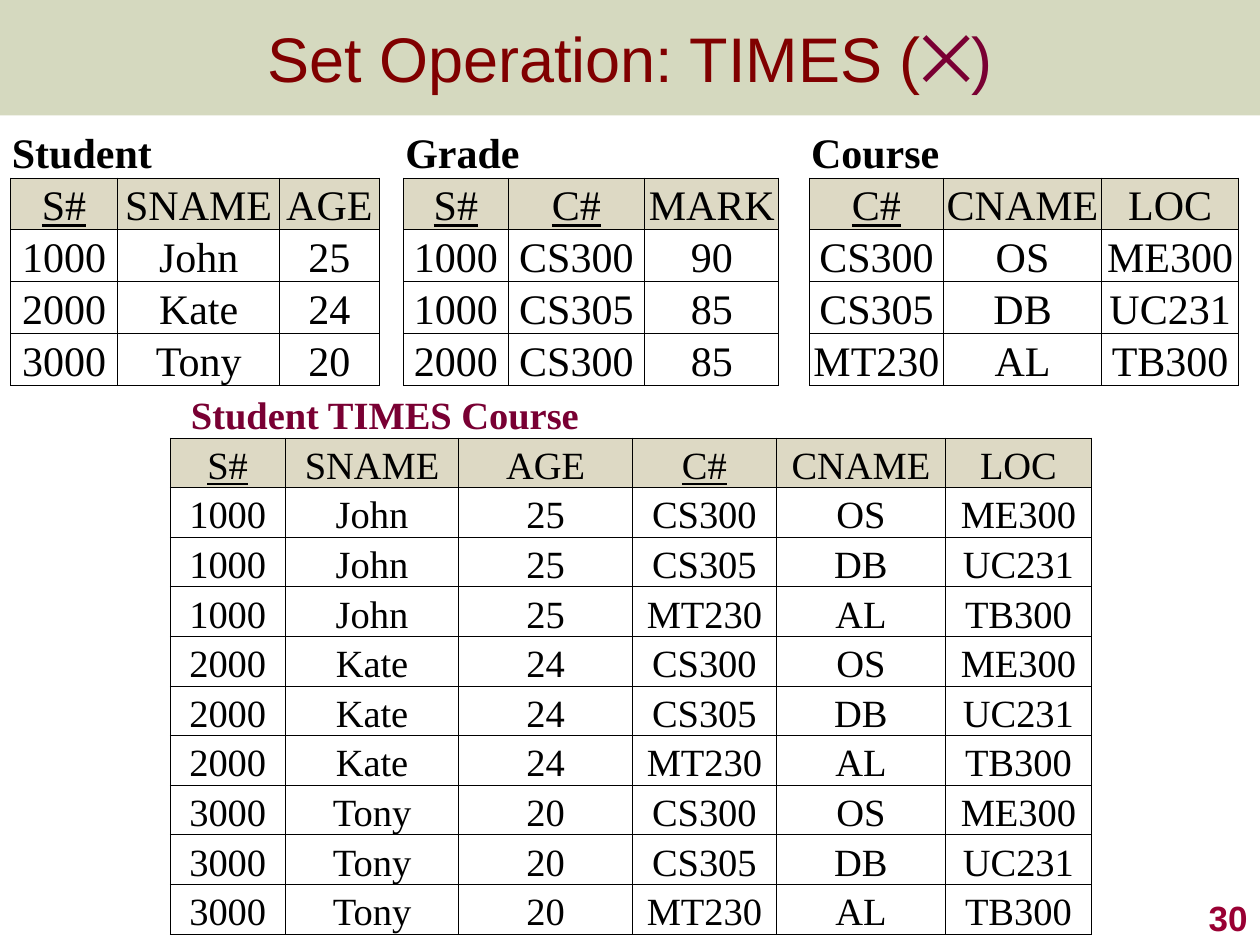
import dataclasses
import itertools

import lxml.etree
import pptx
import pptx.dml.color
import pptx.enum.shapes
import pptx.enum.text
import pptx.oxml.ns
import pptx.util

Cm = pptx.util.Cm
Pt = pptx.util.Pt
qn = pptx.oxml.ns.qn
ALIGN = pptx.enum.text.PP_ALIGN
ANCHOR = pptx.enum.text.MSO_ANCHOR
PLAIN_STYLE = "{2D5ABB26-0587-4C30-8999-92F81FD0307C}"


@dataclasses.dataclass(frozen=True)
class Theme:
    band: str = "76822E"
    title: str = "800000"
    accent: str = "790033"
    number: str = "990033"
    ink: str = "000000"
    paper: str = "FFFFFF"
    header: str = "DDD9C4"
    sans: str = "Arial"
    serif: str = "Times New Roman"
    title_size: int = 36
    source_size: int = 24
    result_size: int = 22
    number_size: int = 20
    border: float = 0.5


@dataclasses.dataclass(frozen=True)
class Relation:
    name: str
    columns: list
    rows: list
    widths: list


T = Theme()
STUDENT = Relation(
    "Student", ["S#", "SNAME", "AGE"],
    [["1000", "John", "25"], ["2000", "Kate", "24"], ["3000", "Tony", "20"]],
    [2.16, 3.27, 2])
GRADE = Relation(
    "Grade", ["S#", "C#", "MARK"],
    [["1000", "CS300", "90"], ["1000", "CS305", "85"], ["2000", "CS300", "85"]],
    [2.1, 2.76, 2.7])
COURSE = Relation(
    "Course", ["C#", "CNAME", "LOC"],
    [["CS300", "OS", "ME300"], ["CS305", "DB", "UC231"], ["MT230", "AL", "TB300"]],
    [2.7, 3.19, 2.76])


def times(left, right, widths):
    rows = [a + b for a, b in itertools.product(left.rows, right.rows)]
    return Relation(f"{left.name} TIMES {right.name}",
                    left.columns + right.columns, rows, widths)


def rgb(color):
    return pptx.dml.color.RGBColor.from_string(color)


def set_all(target, values):
    for key, value in values.items():
        setattr(target, key, value)


def add_run(p, text, color, font):
    r = p.add_run()
    r.text = text
    set_all(r.font, font)
    r.font.color.rgb = rgb(color)


def add_band(s, width, height):
    sp = s.shapes.add_shape(pptx.enum.shapes.MSO_SHAPE.RECTANGLE, 0, 0, width, height)
    sp.shadow.inherit = False
    sp.line.fill.background()
    sp.fill.solid()
    sp.fill.fore_color.rgb = rgb(T.band)
    color = sp.fill._xPr.find(qn("a:solidFill"))[0]
    lxml.etree.SubElement(color, qn("a:alpha"), val="30000")


def add_text(s, box, runs, align, anchor, font):
    tf = s.shapes.add_textbox(*box).text_frame
    set_all(tf, {"word_wrap": True, "vertical_anchor": anchor})
    p = tf.paragraphs[0]
    p.alignment = align
    for text, color in runs:
        add_run(p, text, color, font)


def add_borders(cell, sides):
    tcPr = cell._tc.get_or_add_tcPr()
    for side in sides:
        ln = lxml.etree.SubElement(tcPr, qn(f"a:ln{side}"), w=str(Pt(T.border)))
        fill = lxml.etree.SubElement(ln, qn("a:solidFill"))
        lxml.etree.SubElement(fill, qn("a:srgbClr"), val=T.ink)


def format_cell(cell, fill=T.paper, sides=""):
    set_all(cell, {"margin_left": Cm(0.03), "margin_right": Cm(0.03),
                   "margin_top": Cm(0.03), "margin_bottom": 0,
                   "vertical_anchor": ANCHOR.BOTTOM})
    add_borders(cell, sides)
    cell.fill.solid()
    cell.fill.fore_color.rgb = rgb(fill)


def fill_relation(table, first, relation, size, name_color, name_indent):
    font = {"name": T.serif, "size": Pt(size)}
    last = first + len(relation.columns) - 1
    for col in range(first, last + 1):
        format_cell(table.cell(0, col), sides="B")
    name = table.cell(0, first)
    name.merge(table.cell(0, last))
    name.margin_left = Cm(name_indent)
    add_run(name.text_frame.paragraphs[0], relation.name, name_color,
            {**font, "bold": True})
    for i, values in enumerate([relation.columns] + relation.rows, 1):
        for col, value in enumerate(values, first):
            cell = table.cell(i, col)
            format_cell(cell, T.header if i == 1 else T.paper, "LRTB")
            p = cell.text_frame.paragraphs[0]
            p.alignment = ALIGN.CENTER
            is_key = value.endswith("#")
            add_run(p, value, T.ink, {**font, "bold": False, "underline": is_key})


def add_relations(s, left, top, row_height, relations, size,
                  gaps=(), name_color=T.ink, name_indent=0.03):
    widths, starts = [], []
    for relation, gap in itertools.zip_longest(relations, gaps):
        starts.append(len(widths))
        widths += relation.widths + ([gap] if gap else [])
    count = len(relations[0].rows) + 2
    frame = s.shapes.add_table(count, len(widths), Cm(left), Cm(top),
                               Cm(sum(widths)), Cm(count * row_height))
    table = frame.table
    set_all(table, {"first_row": False, "horz_banding": False})
    table._tbl.tblPr.find(qn("a:tableStyleId")).text = PLAIN_STYLE
    for column, width in zip(table.columns, widths):
        column.width = Cm(width)
    for row in table.rows:
        row.height = Cm(row_height)
    for start, relation in zip(starts, relations):
        fill_relation(table, start, relation, size, name_color, name_indent)
    for start in starts[1:]:
        for i in range(count):
            format_cell(table.cell(i, start - 1), sides="LR" if i else "")


def main():
    prs = pptx.Presentation()
    set_all(prs, {"slide_width": Cm(25.4), "slide_height": Cm(19.05)})
    s = prs.slides.add_slide(prs.slide_layouts[6])
    band_height = Cm(2.33)
    add_band(s, prs.slide_width, band_height)
    add_text(s, (Cm(20.12), Cm(17.78), Cm(5.28), Cm(1.27)), [("30", T.number)],
             ALIGN.RIGHT, ANCHOR.BOTTOM,
             {"name": T.sans, "size": Pt(T.number_size), "bold": True})
    result = times(STUDENT, COURSE, [2.32, 3.5, 3.5, 2.9, 3.41, 2.94])
    add_relations(s, 3.43, 7.83, 1, [result], T.result_size,
                  name_color=T.accent, name_indent=0.42)
    add_text(s, (0, 0, prs.slide_width, band_height),
             [("Set Operation: TIMES (", T.title), ("⨉)", T.accent)],
             ALIGN.CENTER, ANCHOR.MIDDLE,
             {"name": T.sans, "size": Pt(T.title_size)})
    add_relations(s, 0.21, 2.54, 0.97, [STUDENT, GRADE, COURSE],
                  T.source_size, gaps=(0.5, 0.62))
    prs.save("out.pptx")


if __name__ == "__main__":
    main()
